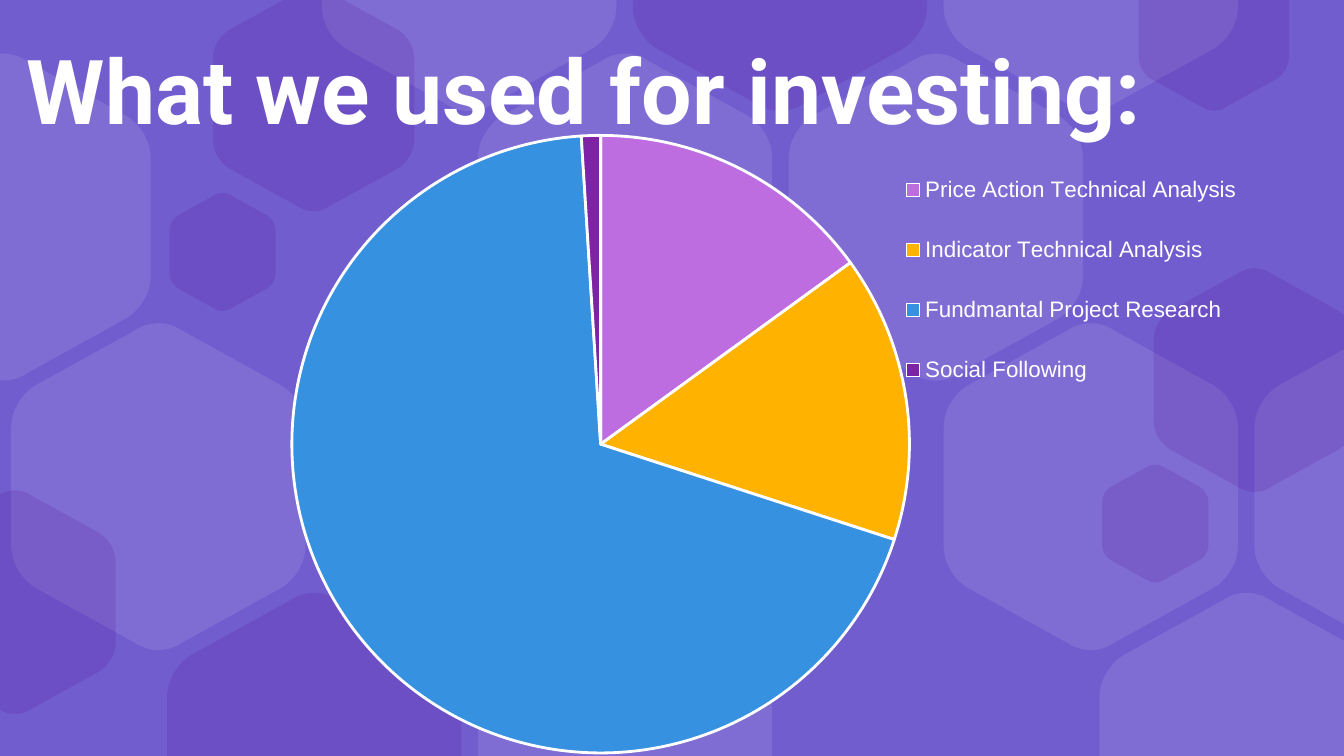
"""Build a slide with a pie chart of investing methods over a hexagon pattern."""
from lxml import etree
from pptx import Presentation, util as u
from pptx.chart import data as chart_data
from pptx.dml.color import RGBColor
from pptx.enum import chart as charts, text
from pptx.oxml import ns

COLORS = {
    "background": "725DCF", "light": "FFFFFF", "dark": "4F0089",
    "orchid": "BD6DE0", "amber": "FFB200", "blue": "3691E0", "purple": "7D23A5",
}
OPACITY = {"light": 10, "dark": 15}
WIDTH, HEIGHT = 720, 405
HEXAGON_RATIO = 1.105
UPPER_CORNERS = [
    (1, 0.32), (1, 0.27), (0.97, 0.22), (0.92, 0.19),
    (0.58, 0.02), (0.53, -0.01), (0.47, -0.01), (0.42, 0.02),
    (0.08, 0.19), (0.03, 0.22), (0, 0.27), (0, 0.32),
]
OUTLINE = UPPER_CORNERS + [(1 - x, 1 - y) for x, y in UPPER_CORNERS]


class SlideBuilder:
    """Hold the style and the current slide."""

    def __init__(self, presentation):
        self.title_font = "Roboto"
        self.chart_font = "Arial"
        self.slide = presentation.slides.add_slide(presentation.slide_layouts[5])
        self.paint(self.slide.background.fill, "background")

    def paint(self, fill, color):
        fill.solid()
        fill.fore_color.rgb = RGBColor.from_string(COLORS[color])

    def style_font(self, font, name, size):
        font.name = name
        font.size = u.Pt(size)
        self.paint(font.fill, "light")

    def round_corners(self, shape):
        lines = list(shape.element.iter(ns.qn("a:lnTo")))
        for start in range(0, len(lines), 4):
            first, *others = lines[start:start + 3]
            curve = etree.Element(ns.qn("a:cubicBezTo"))
            first.addprevious(curve)
            for line in (first, *others):
                curve.append(line[0])
                line.getparent().remove(line)

    def hexagon(self, left, top, width, color, clipped=False):
        height = width * HEXAGON_RATIO
        points = [(left + x * width, top + y * height) for x, y in OUTLINE]
        if clipped:
            points = [(x, min(max(y, 0), HEIGHT)) for x, y in points]
        points = [(u.Pt(x), u.Pt(y)) for x, y in points]
        builder = self.slide.shapes.build_freeform(*points[0])
        builder.add_line_segments(points[1:], close=True)
        shape = builder.convert_to_shape()
        self.round_corners(shape)
        shape.shadow.inherit = False
        shape.line.fill.background()
        self.paint(shape.fill, color)
        rgb = shape.element.spPr.find(".//" + ns.qn("a:srgbClr"))
        etree.SubElement(rgb, ns.qn("a:alpha"), val=str(OPACITY[color] * 1000))

    def title(self, words, left, top, width, height):
        shape = self.slide.shapes.title
        shape.left, shape.top = u.Pt(left), u.Pt(top)
        shape.width, shape.height = u.Pt(width), u.Pt(height)
        frame = shape.text_frame
        frame.margin_left = frame.margin_right = frame.margin_top = frame.margin_bottom = 0
        frame.vertical_anchor = text.MSO_ANCHOR.BOTTOM
        frame.auto_size = text.MSO_AUTO_SIZE.NONE
        frame.word_wrap = True
        paragraph = frame.paragraphs[0]
        paragraph.alignment = text.PP_ALIGN.LEFT
        paragraph.line_spacing = 0.9
        run = paragraph.add_run()
        run.text = words
        run.font.bold = True
        self.style_font(run.font, self.title_font, 48)
        self.slide.shapes.element.append(shape.element)

    def place(self, parent, position, target, **box):
        for old in parent.findall(ns.qn("c:layout")):
            parent.remove(old)
        layout = etree.Element(ns.qn("c:layout"))
        manual = etree.SubElement(layout, ns.qn("c:manualLayout"))
        if target:
            etree.SubElement(manual, ns.qn("c:layoutTarget"), val=target)
        for mode in ("xMode", "yMode"):
            etree.SubElement(manual, ns.qn("c:" + mode), val="edge")
        for side, value in box.items():
            etree.SubElement(manual, ns.qn("c:" + side), val=str(value))
        parent.insert(position, layout)

    def pie(self, slices, left, top, width, height):
        data = chart_data.CategoryChartData()
        data.categories = [name for name, _, _ in slices]
        data.add_series("Series 1", [value for _, value, _ in slices])
        frame = self.slide.shapes.add_chart(
            charts.XL_CHART_TYPE.PIE, u.Pt(left), u.Pt(top), u.Pt(width), u.Pt(height), data)
        chart = frame.chart
        chart.has_title = False
        self.style_font(chart.font, self.chart_font, 10)
        plot = chart.plots[0]
        plot.vary_by_categories = True
        for index, (_, _, color) in enumerate(slices):
            point = plot.series[0].points[index]
            self.paint(point.format.fill, color)
            self.paint(point.format.line.fill, "light")
            point.format.line.width = u.Pt(1.5)
        chart.has_legend = True
        legend = chart.legend
        legend.position = charts.XL_LEGEND_POSITION.BOTTOM
        legend.include_in_layout = True
        self.style_font(legend.font, self.chart_font, 12)
        plot_area = chart.element.find(".//" + ns.qn("c:plotArea"))
        self.place(plot_area, 0, "inner", x=0.26, y=0.03, w=0.48, h=0.94)
        legend_element = chart.element.find(".//" + ns.qn("c:legend"))
        self.place(legend_element, 1, None, x=0.73, y=0.04, w=0.28, h=0.42)


def main():
    presentation = Presentation()
    presentation.slide_width, presentation.slide_height = u.Pt(WIDTH), u.Pt(HEIGHT)
    builder = SlideBuilder(presentation)

    column_step, row_step = 166.5, 144.4
    pattern = {0: (2, 3, 1), 3: (1, 2, 4), 2: (0, 1, 3, 4), 1: (0, 2, 3)}
    dark_cells = {(0, 2), (3, 1)}
    for row, columns in pattern.items():
        for column in columns:
            builder.hexagon(
                (-77 if row % 2 else 6) + column * column_step, -115.2 + row * row_step, 157.7,
                "dark" if (row, column) in dark_cells else "light", clipped=row in (0, 3))
    for left, top, width in ((618, 144, 108), (114, -6.5, 108), (-46, 263, 108),
                             (90.7, 103.5, 57), (590.4, 249, 57)):
        builder.hexagon(left, top, width, "dark")
    builder.hexagon(610, -30, 80.6, "dark", clipped=True)

    builder.title("What we used for investing:", 14.4, 23, 691.2, 54)
    builder.pie([("Price Action Technical Analysis", 15, "orchid"),
                 ("Indicator Technical Analysis", 15, "amber"),
                 ("Fundmantal Project Research", 69, "blue"),
                 ("Social Following", 1, "purple")], -23.8, 62, 691.2, 352)
    presentation.save("out.pptx")


if __name__ == "__main__":
    main()
